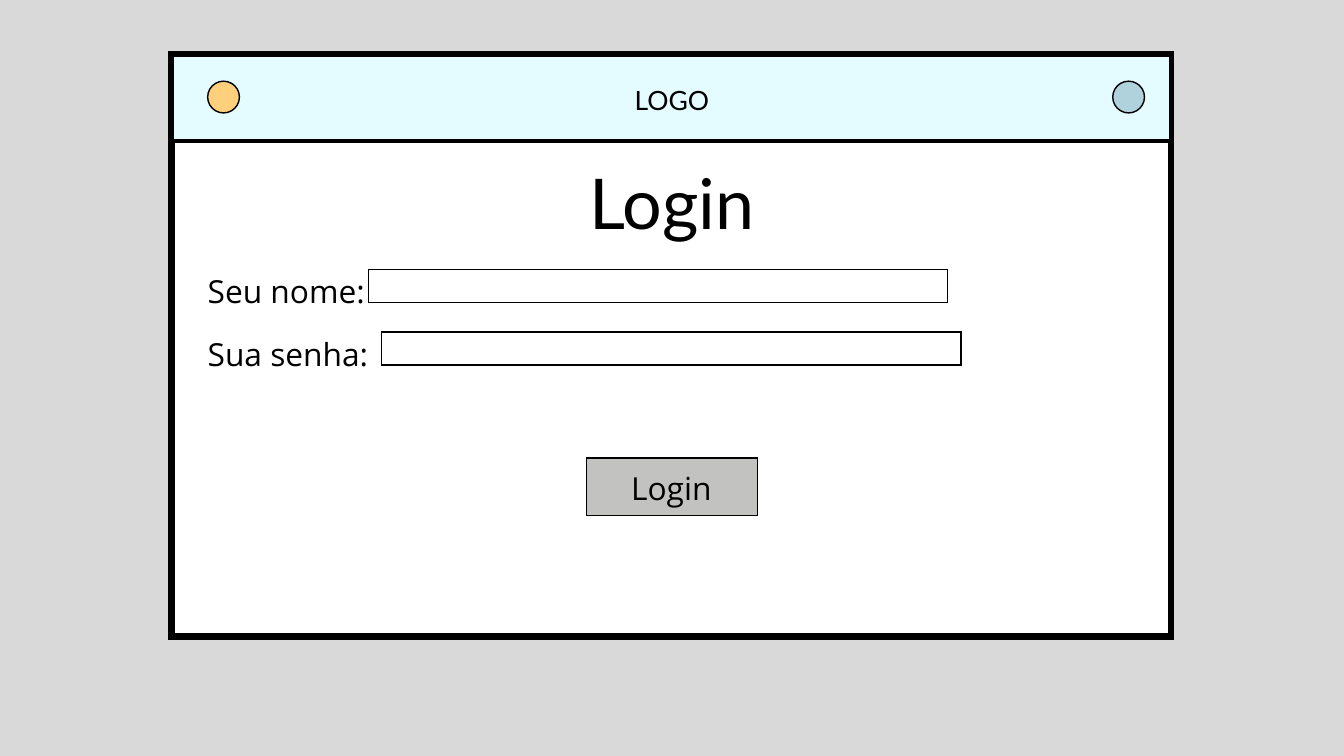
from dataclasses import dataclass

from lxml import etree
from pptx import Presentation
from pptx.dml.color import RGBColor
from pptx.enum import shapes, text
from pptx.oxml import ns
from pptx.util import Cm, Pt


@dataclass(frozen=True)
class Theme:
    backdrop: str = "D9D9D9"
    window: str = "FFFFFF"
    header: str = "E4FBFF"
    menu: str = "FFD07B"
    profile: str = "B0D2DD"
    button: str = "C2C3C1"
    ink: str = "000000"
    heading_font: str = "Lato"
    body_font: str = "Open Sans"
    logo_size: float = 28.4
    title_size: float = 75
    body_size: float = 34
    thin: float = 1.5
    medium: float = 4.5
    thick: float = 6.75


THEME = Theme()
PAGE_WIDTH, PAGE_HEIGHT = 50.8, 28.58
RECTANGLE = shapes.MSO_SHAPE.RECTANGLE
OVAL = shapes.MSO_SHAPE.OVAL


def centred(width):
    """Left edge, in cm, of an element centred on the page."""
    return (PAGE_WIDTH - width) / 2


def add_outlined(page, kind, left, top, width, height, fill=None, weight=THEME.thin):
    shape = page.shapes.add_shape(kind, Cm(left), Cm(top), Cm(width), Cm(height))
    shape.shadow.inherit = False
    if fill:
        shape.fill.solid()
        shape.fill.fore_color.rgb = RGBColor.from_string(fill)
    else:
        shape.fill.background()
    shape.line.color.rgb = RGBColor.from_string(THEME.ink)
    shape.line.width = Pt(weight)
    # Sharp corners
    outline = shape._element.spPr.find(ns.qn("a:ln"))
    etree.SubElement(outline, ns.qn("a:miter"), lim="800000")


def add_text(page, left, top, width, height, lines, font, size, spacing,
             align=text.PP_ALIGN.CENTER):
    box = page.shapes.add_textbox(Cm(left), Cm(top), Cm(width), Cm(height))
    frame = box.text_frame
    frame.word_wrap = True
    frame.margin_left = frame.margin_right = 0
    frame.margin_top = frame.margin_bottom = 0
    frame.text = "\n".join(lines)
    for paragraph in frame.paragraphs:
        paragraph.alignment = align
        paragraph.line_spacing = Pt(spacing)
        paragraph.font.name = font
        paragraph.font.size = Pt(size)
        paragraph.font.color.rgb = RGBColor.from_string(THEME.ink)


def main():
    deck = Presentation()
    deck.slide_width, deck.slide_height = Cm(PAGE_WIDTH), Cm(PAGE_HEIGHT)
    page = deck.slides.add_slide(deck.slide_layouts[6])
    page.background.fill.solid()
    page.background.fill.fore_color.rgb = RGBColor.from_string(THEME.backdrop)

    # Window and header bar
    add_outlined(page, RECTANGLE, 6.48, 2.06, 37.77, 22, THEME.window, THEME.thick)
    add_outlined(page, RECTANGLE, 6.5, 2.06, 37.77, 3.28, THEME.header, THEME.medium)
    for left, fill in ((7.85, THEME.menu), (42.06, THEME.profile)):
        add_outlined(page, OVAL, left, 3.07, 1.2, 1.2, fill)
    add_text(page, centred(3.15), 2.97, 3.15, 1.32, ["LOGO"],
             THEME.heading_font, THEME.logo_size, 39.7)

    # Title
    add_text(page, centred(31.65), 5.49, 31.65, 3.56, ["Login"],
             THEME.heading_font, THEME.title_size, 104.9)

    # Form labels and fields
    add_text(page, 7.85, 9.3, 12.09, 4.52, ["Seu nome:", "Sua senha:"],
             THEME.body_font, THEME.body_size, 68, text.PP_ALIGN.LEFT)
    for left, top in ((13.92, 10.19), (14.43, 12.55)):
        add_outlined(page, RECTANGLE, left, top, 21.89, 1.25)

    # Login button
    add_outlined(page, RECTANGLE, centred(6.45), 17.32, 6.45, 2.16, THEME.button)
    add_text(page, 23.85, 17.5, 3.05, 1.6, ["Login"],
             THEME.body_font, THEME.body_size, 47.6)

    deck.save("out.pptx")


if __name__ == "__main__":
    main()
